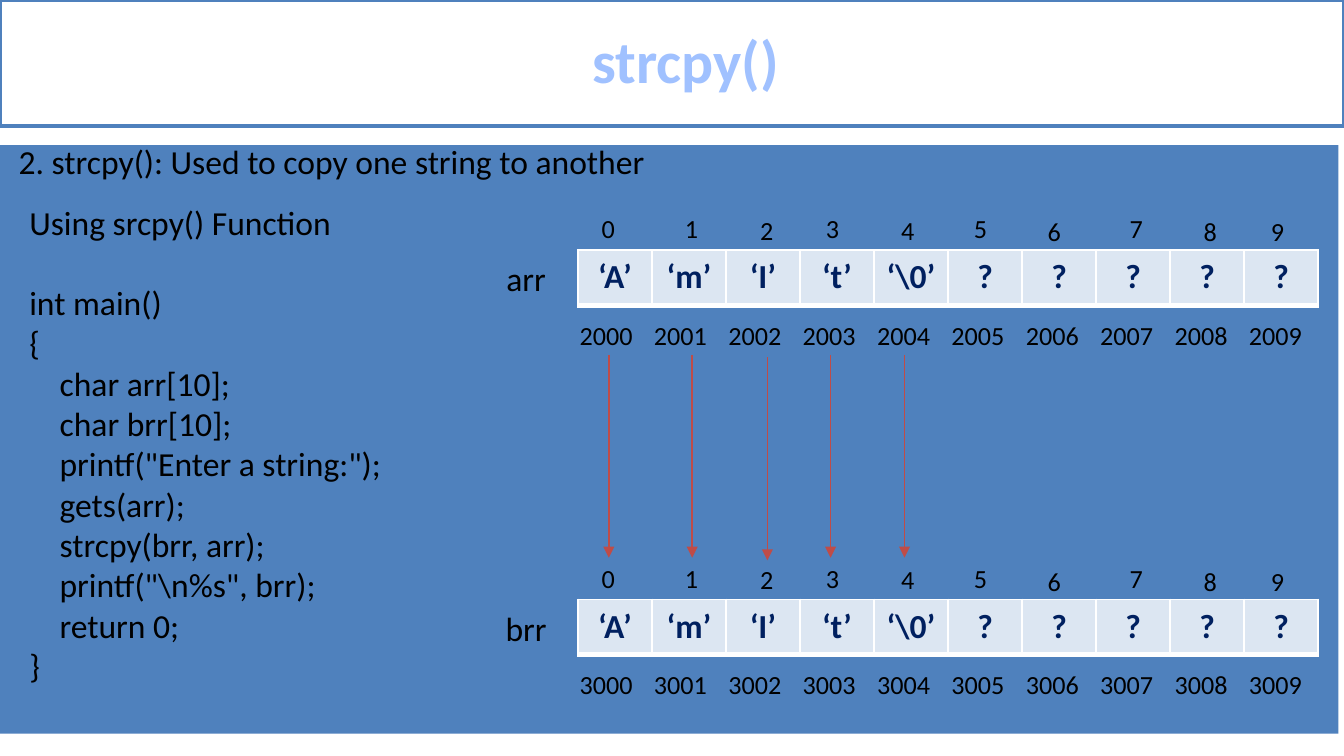
"""Build a slide that explains strcpy() with two character arrays."""
from typing import NamedTuple

from lxml import etree
from pptx import Presentation
from pptx import util as u
from pptx.dml.color import RGBColor
from pptx.enum import shapes, text
from pptx.oxml import ns

BLUE = RGBColor(0x4F, 0x81, 0xBD)
WHITE = RGBColor(0xFF, 0xFF, 0xFF)
BLACK = RGBColor(0x00, 0x00, 0x00)
TITLE_BLUE = RGBColor(0xA0, 0xC1, 0xFF)
NAVY = RGBColor(0x00, 0x20, 0x60)
CELL_BLUE = RGBColor(0xDC, 0xE6, 0xF2)
RED = RGBColor(0xBF, 0x4C, 0x48)

FONT = "Calibri"
SLIDE_WIDTH = 10
SLIDE_HEIGHT = SLIDE_WIDTH * 9 / 16
CELLS = ["‘A’", "‘m’", "‘I’", "‘t’", "‘\\0’"] + ["?"] * 5
TABLE_LEFT, TABLE_WIDTH, TABLE_HEIGHT = 4.3, 5.51, 0.41
ADDRESS_LEFT, ADDRESS_SPAN = 4.2, 4.98
BORDERS = {"lnL": 1, "lnR": 1, "lnT": 1, "lnB": 3}
CODE = [
    "int main()",
    "{",
    "    char arr[10];",
    "    char brr[10];",
    '    printf("Enter a string:");',
    "    gets(arr);",
    "    strcpy(brr, arr);",
    '    printf("\\n%s", brr);',
    "    return 0;",
    "}",
]


class Array(NamedTuple):
    """A named array, its table top and its first address."""
    name: str
    top: float
    address: int


class Index(NamedTuple):
    """Left edge and downward shift of an index label."""
    left: float
    shift: float


class Arrow(NamedTuple):
    """Position and start of a vertical copy arrow."""
    x: float
    top: float


ARRAYS = [Array("arr", 1.86, 2000), Array("brr", 4.46, 3000)]
INDEXES = [
    Index(4.38, 0), Index(5, 0), Index(5.56, 0.01), Index(6.05, 0),
    Index(6.61, 0.01), Index(7.15, 0), Index(7.7, 0.02), Index(8.31, 0),
    Index(8.86, 0.02), Index(9.36, 0.02),
]
ARROWS = [Arrow(4.53, 2.64), Arrow(5.15, 2.64), Arrow(5.71, 2.66),
          Arrow(6.18, 2.64), Arrow(6.73, 2.64)]
ARROW_LENGTH = 1.51


def write(tf, content: str, *, size: float = 18, color: RGBColor = BLACK,
          bold: bool = False, align=text.PP_ALIGN.LEFT, first: bool = True,
          before: float = 0):
    """Write one formatted paragraph into a text frame."""
    p = tf.paragraphs[0] if first else tf.add_paragraph()
    p.alignment = align
    if before:
        p.space_before = u.Pt(before)
    r = p.add_run()
    r.text = content
    r.font.name = FONT
    r.font.size = u.Pt(size)
    r.font.bold = bold
    r.font.color.rgb = color
    return p


def add_box(s, left: float, top: float, width: float, height: float):
    """Add an empty text box and return its text frame."""
    sp = s.shapes.add_textbox(u.Inches(left), u.Inches(top),
                              u.Inches(width), u.Inches(height))
    sp.text_frame.word_wrap = True
    return sp.text_frame


def add_label(s, content: str, left: float, top: float, width: float,
              height: float, size: float = 14) -> None:
    """Add a centred label."""
    tf = add_box(s, left, top, width, height)
    tf.margin_left = tf.margin_right = 0
    tf.vertical_anchor = text.MSO_ANCHOR.MIDDLE
    write(tf, content, size=size, align=text.PP_ALIGN.CENTER)


def add_panel(s, left: float, top: float, width: float, height: float,
              fill: RGBColor):
    """Add a plain filled rectangle."""
    sp = s.shapes.add_shape(shapes.MSO_SHAPE.RECTANGLE, u.Inches(left),
                            u.Inches(top), u.Inches(width), u.Inches(height))
    sp.shadow.inherit = False
    sp.fill.solid()
    sp.fill.fore_color.rgb = fill
    sp.line.fill.background()
    return sp


def add_title(s, content: str) -> None:
    """Add the outlined title band."""
    sp = add_panel(s, 0, 0, SLIDE_WIDTH, 0.94, WHITE)
    sp.line.color.rgb = BLUE
    sp.line.width = u.Pt(2)
    tf = sp.text_frame
    tf.vertical_anchor = text.MSO_ANCHOR.MIDDLE
    p = write(tf, content, size=32, color=TITLE_BLUE, bold=True,
              align=text.PP_ALIGN.CENTER)
    p.line_spacing = 0.96
    p._p.get_or_add_pPr().set("marL", str(u.Inches(0.21)))


def add_borders(cell) -> None:
    """Give a table cell white borders with a heavier bottom edge."""
    props = cell._tc.get_or_add_tcPr()
    for tag, width in BORDERS.items():
        ln = etree.SubElement(props, ns.qn(f"a:{tag}"), w=str(u.Pt(width)))
        fill = etree.SubElement(ln, ns.qn("a:solidFill"))
        etree.SubElement(fill, ns.qn("a:srgbClr"), val=str(WHITE))


def add_array(s, array: Array) -> None:
    """Draw an array with its name, indexes and addresses."""
    frame = s.shapes.add_table(1, len(CELLS), u.Inches(TABLE_LEFT),
                               u.Inches(array.top), u.Inches(TABLE_WIDTH),
                               u.Inches(TABLE_HEIGHT))
    table = frame.table
    table.first_row = table.horz_banding = False
    for i, (value, index) in enumerate(zip(CELLS, INDEXES)):
        table.columns[i].width = u.Inches(TABLE_WIDTH / len(CELLS))
        cell = table.cell(0, i)
        cell.margin_left = cell.margin_right = u.Inches(0.08)
        add_borders(cell)
        cell.fill.solid()
        cell.fill.fore_color.rgb = CELL_BLUE
        write(cell.text_frame, value, color=NAVY, bold=True,
              align=text.PP_ALIGN.CENTER)
        add_label(s, str(i), index.left, array.top - 0.33 + index.shift,
                  0.29, 0.34)
        add_label(s, str(array.address + i),
                  ADDRESS_LEFT + ADDRESS_SPAN * i / (len(CELLS) - 1),
                  array.top + 0.46, 0.62, 0.34)
    add_label(s, array.name, 3.66, array.top + 0.01, 0.51, 0.4, size=18)


def add_arrow(s, arrow: Arrow) -> None:
    """Draw a downward arrow between the arrays."""
    x = u.Inches(arrow.x)
    sp = s.shapes.add_connector(shapes.MSO_CONNECTOR.STRAIGHT, x,
                                u.Inches(arrow.top), x,
                                u.Inches(arrow.top + ARROW_LENGTH))
    sp.line.color.rgb = RED
    sp.line.width = u.Pt(0.75)
    etree.SubElement(sp.line._get_or_add_ln(), ns.qn("a:tailEnd"),
                     type="triangle")
    etree.SubElement(sp._element.spPr, ns.qn("a:effectLst"))


def main() -> None:
    """Build and save the slide."""
    prs = Presentation()
    prs.slide_width = u.Inches(SLIDE_WIDTH)
    prs.slide_height = u.Inches(SLIDE_HEIGHT)
    s = prs.slides.add_slide(prs.slide_layouts[6])
    add_panel(s, -0.04, 1.08, 10, 4.38, BLUE)
    add_title(s, "strcpy()")
    write(add_box(s, 0.04, 1, 9.85, 0.4),
          "2. strcpy(): Used to copy one string to another")
    tf = add_box(s, 0.12, 1.45, 2.86, 3.74)
    tf.word_wrap = False
    write(tf, "Using srcpy() Function")
    for i, line in enumerate(CODE):
        write(tf, line, first=False, before=0 if i else 21.6)
    for array in ARRAYS:
        add_array(s, array)
    for arrow in ARROWS:
        add_arrow(s, arrow)
    prs.save("out.pptx")


if __name__ == "__main__":
    main()
